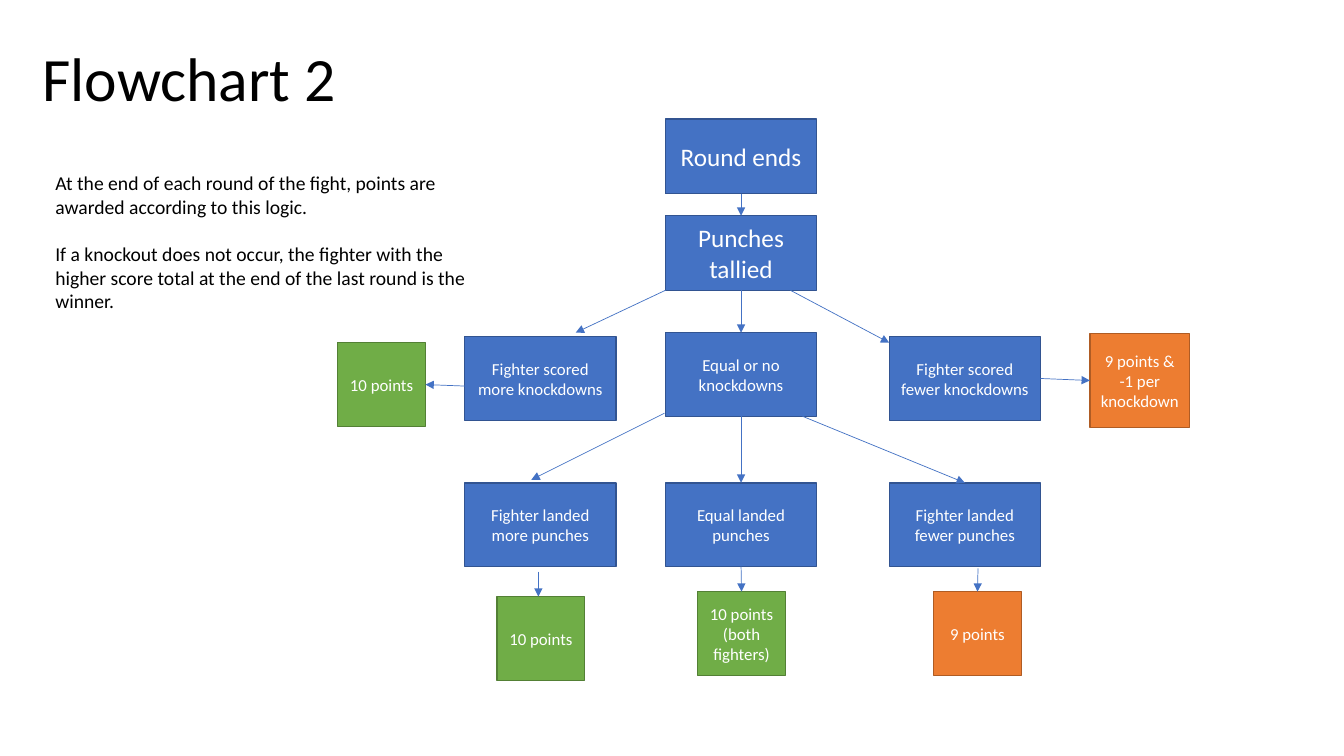
from dataclasses import dataclass

from lxml.etree import SubElement
from pptx import Presentation
from pptx.dml.color import RGBColor
from pptx.enum.shapes import MSO_CONNECTOR, MSO_SHAPE
from pptx.enum.text import MSO_ANCHOR, MSO_AUTO_SIZE, PP_ALIGN
from pptx.oxml.ns import qn
from pptx.util import Inches, Pt


@dataclass(frozen=True)
class Theme:
    font: str = "Calibri"
    text: str = "000000"
    on_fill: str = "FFFFFF"
    step: tuple = ("4472C4", "325491")
    win: tuple = ("70AD47", "538035")
    loss: tuple = ("ED7D31", "AF5C24")
    arrow: str = "4472C4"
    title_size: int = 44
    start_size: int = 18
    body_size: int = 14
    box_size: int = 12


THEME = Theme()
TOP, LEFT, BOTTOM, RIGHT = range(4)

TITLE = "Flowchart 2"
EXPLANATION = [
    "At the end of each round of the fight, points are awarded according to this logic.",
    "If a knockout does not occur, the fighter with the higher score total "
    "at the end of the last round is the winner.",
]

MORE, EQUAL, FEWER = 4.61, 6.6, 8.82  # left edges of the three step columns
START_BOX, STEP_BOX, SCORE_BOX, PENALTY_BOX = (1.5, 0.74), (1.5, 0.83), (0.87, 0.83), (0.99, 0.93)

# key: (paragraphs, left, top, box size, colours, type size)
START_STYLE = (START_BOX, THEME.step, THEME.start_size)
STEP_STYLE = (STEP_BOX, THEME.step, THEME.box_size)
WIN_STYLE = (SCORE_BOX, THEME.win, THEME.box_size)
LOSS_STYLE = (SCORE_BOX, THEME.loss, THEME.box_size)
PENALTY_STYLE = (PENALTY_BOX, THEME.loss, THEME.box_size)
BOXES = {
    "round ends": (["Round ends"], EQUAL, 1.18, *START_STYLE),
    "tally": (["Punches tallied"], EQUAL, 2.14, *START_STYLE),
    "more knockdowns": (["Fighter scored more knockdowns"], MORE, 3.34, *STEP_STYLE),
    "fewer knockdowns": (["Fighter scored fewer knockdowns"], FEWER, 3.34, *STEP_STYLE),
    "equal knockdowns": (["Equal or no knockdowns"], EQUAL, 3.3, *STEP_STYLE),
    "more punches": (["Fighter landed more punches"], MORE, 4.79, *STEP_STYLE),
    "fewer punches": (["Fighter landed fewer punches"], FEWER, 4.79, *STEP_STYLE),
    "equal punches": (["Equal landed punches"], EQUAL, 4.79, *STEP_STYLE),
    "knockdown win": (["10 points"], 3.35, 3.4, *WIN_STYLE),
    "punch win": (["10 points"], 4.93, 5.92, *WIN_STYLE),
    "draw": (["10 points", "(both fighters)"], 6.92, 5.87, *WIN_STYLE),
    "punch loss": (["9 points"], 9.26, 5.87, *LOSS_STYLE),
    "knockdown loss": (["9 points &", "-1 per knockdown"], 10.81, 3.31, *PENALTY_STYLE),
}

# each end is (box, side) where it is joined, or a free (x, y) point
ARROWS = [
    (("round ends", BOTTOM), ("tally", TOP)),
    (("tally", BOTTOM), ("equal knockdowns", TOP)),
    ((7.84, 2.88), (8.82, 3.4)),
    ((6.6, 2.88), (5.71, 3.3)),
    ((6.59, 4.1), (5.27, 4.76)),
    (("equal knockdowns", BOTTOM), ("equal punches", TOP)),
    ((7.96, 4.13), ("fewer punches", TOP)),
    (("fewer knockdowns", RIGHT), ("knockdown loss", LEFT)),
    ((4.61, 3.83), ("knockdown win", RIGHT)),
    (("equal punches", BOTTOM), ("draw", TOP)),
    ((5.34, 5.67), (5.34, 5.92)),
    ((9.7, 5.64), ("punch loss", TOP)),
]


def rgb(value):
    return RGBColor.from_string(value)


def write(frame, paragraphs, *, size, color=THEME.text, align=PP_ALIGN.LEFT,
          anchor=MSO_ANCHOR.TOP, line_spacing=None, gap=0):
    """Fill a text frame; gap is the space in points between paragraphs."""
    frame.word_wrap = True
    frame.vertical_anchor = anchor
    for index, words in enumerate(paragraphs):
        paragraph = frame.add_paragraph() if index else frame.paragraphs[0]
        paragraph.alignment = align
        paragraph.line_spacing = line_spacing
        paragraph.space_before = Pt(gap if index else 0)
        run = paragraph.add_run()
        run.text = words
        run.font.name = THEME.font
        run.font.size = Pt(size)
        run.font.color.rgb = rgb(color)


def add_box(slide, paragraphs, left, top, box_size, colours, type_size):
    box = slide.shapes.add_shape(MSO_SHAPE.FLOWCHART_PROCESS,
                                 *map(Inches, (left, top, *box_size)))
    fill, outline = colours
    box.shadow.inherit = False
    box.fill.solid()
    box.fill.fore_color.rgb = rgb(fill)
    box.line.color.rgb = rgb(outline)
    box.line.width = Pt(1)
    write(box.text_frame, paragraphs, size=type_size, color=THEME.on_fill,
          align=PP_ALIGN.CENTER, anchor=MSO_ANCHOR.MIDDLE)
    return box


def add_arrow(slide, boxes, start, end):
    points = [(0, 0) if finish[0] in boxes else finish for finish in (start, end)]
    arrow = slide.shapes.add_connector(MSO_CONNECTOR.STRAIGHT,
                                       *map(Inches, (*points[0], *points[1])))
    for (place, side), connect in ((start, arrow.begin_connect), (end, arrow.end_connect)):
        if place in boxes:
            connect(boxes[place], side)
    arrow.line.color.rgb = rgb(THEME.arrow)
    arrow.line.width = Pt(0.5)
    SubElement(arrow.line._get_or_add_ln(), qn("a:tailEnd"), type="triangle")
    SubElement(arrow._element.spPr, qn("a:effectLst"))


def main():
    deck = Presentation()
    deck.slide_width, deck.slide_height = Inches(13.33), Inches(7.5)
    slide = deck.slides.add_slide(deck.slide_layouts[5])

    title = slide.shapes.title
    title.left, title.top, title.width, title.height = map(Inches, (0.32, 0.08, 11.5, 1.45))
    write(title.text_frame, [TITLE], size=THEME.title_size,
          anchor=MSO_ANCHOR.MIDDLE, line_spacing=0.9)

    boxes = {key: add_box(slide, *box) for key, box in BOXES.items()}
    for start, end in ARROWS:
        add_arrow(slide, boxes, start, end)

    explanation = slide.shapes.add_textbox(*map(Inches, (0.45, 1.65, 4.57, 1.51))).text_frame
    write(explanation, EXPLANATION, size=THEME.body_size, gap=17)
    explanation.auto_size = MSO_AUTO_SIZE.SHAPE_TO_FIT_TEXT

    deck.save("out.pptx")


if __name__ == "__main__":
    main()
